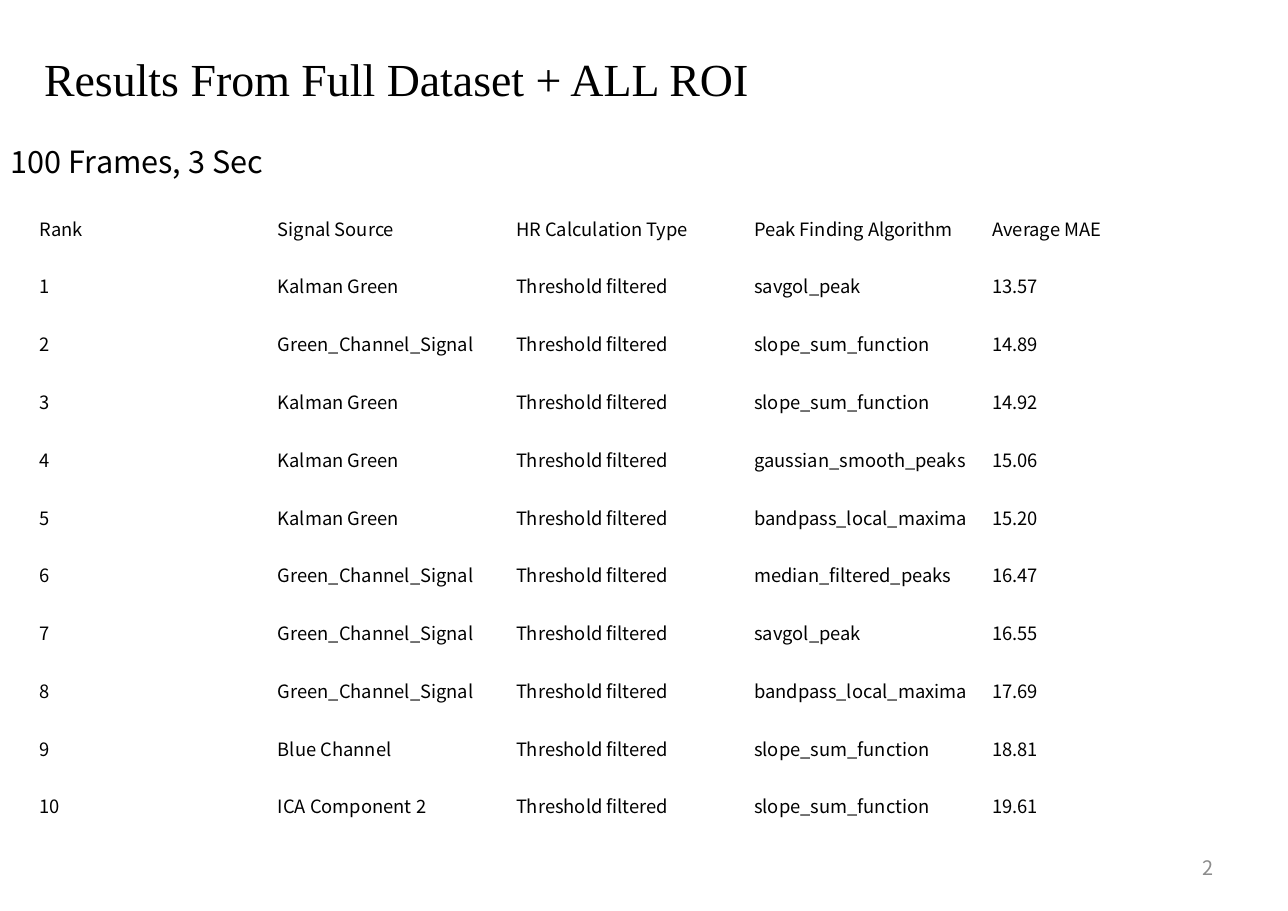
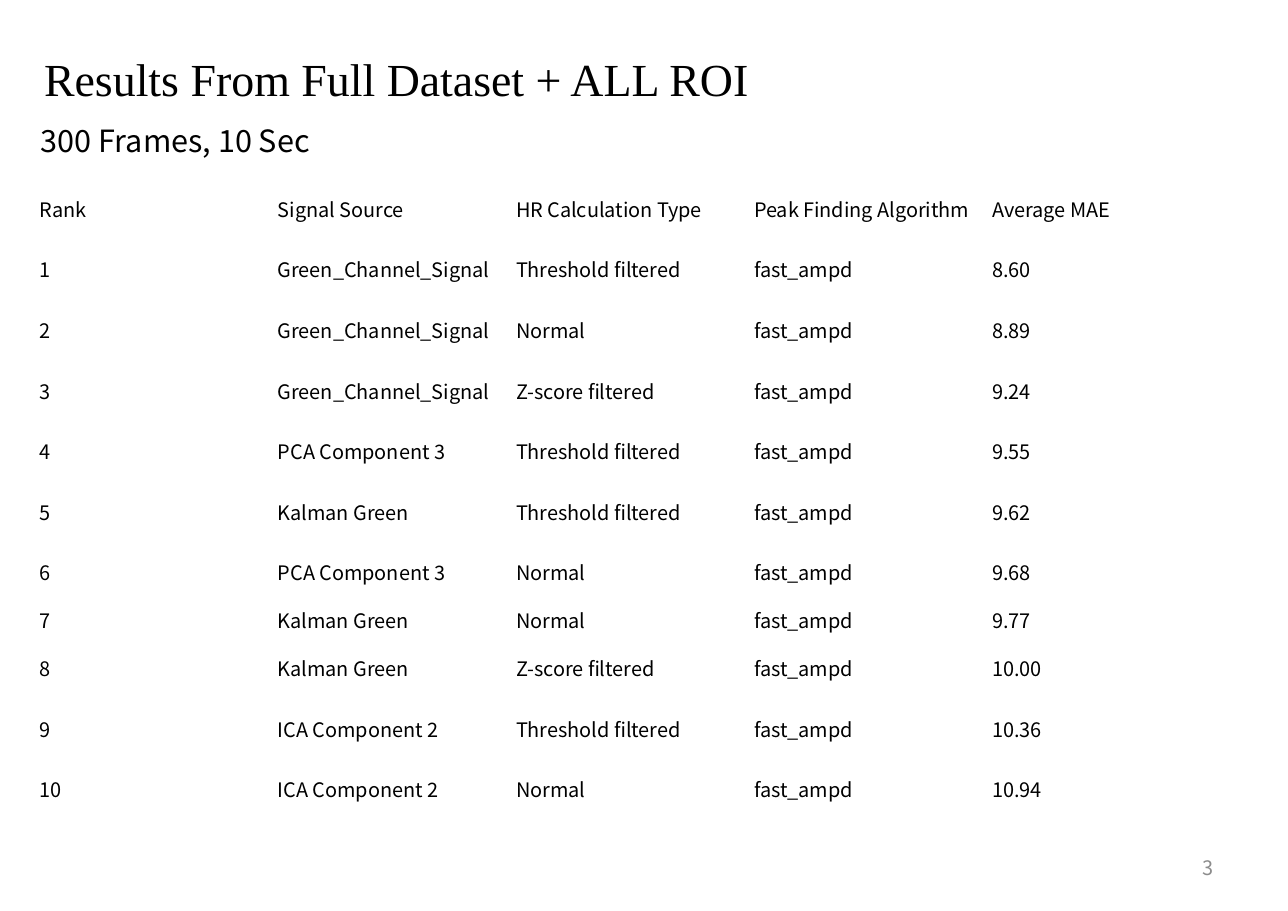
from dataclasses import dataclass

from pptx import Presentation
from pptx.dml.color import RGBColor
from pptx.enum.text import MSO_ANCHOR, MSO_AUTO_SIZE, PP_ALIGN
from pptx.util import Inches, Pt

SLIDE_WIDTH, SLIDE_HEIGHT = 11.69, 8.27
MARGIN = 0.3
TABLE_WIDTH = 10.81
TITLE_FONT, BODY_FONT = "Times New Roman", "Noto Sans CJK KR"
BLACK, GRAY = "000000", "8C8C8C"
TITLE = "Results From Full Dataset + ALL ROI"
HEADER = ("Rank", "Signal Source", "HR Calculation Type", "Peak Finding Algorithm", "Average MAE")
CELL_FORMAT = {
    "margin_left": Inches(0.06),
    "margin_right": Inches(0.06),
    "margin_top": Inches(0.03),
    "margin_bottom": Inches(0.03),
    "vertical_anchor": MSO_ANCHOR.MIDDLE,
}

GREEN, KALMAN, BLUE = "Green_Channel_Signal", "Kalman Green", "Blue Channel"
ICA, PCA = "ICA Component 2", "PCA Component 3"
THRESHOLD, NORMAL, Z_SCORE = "Threshold filtered", "Normal", "Z-score filtered"
SLOPE, SAVGOL, BANDPASS = "slope_sum_function", "savgol_peak", "bandpass_local_maxima"
AMPD = "fast_ampd"


@dataclass(frozen=True)
class Box:
    left: float
    top: float
    width: float
    height: float


@dataclass(frozen=True)
class TextStyle:
    size: float
    font: str = BODY_FONT
    color: str = BLACK
    align: PP_ALIGN = PP_ALIGN.LEFT
    anchor: MSO_ANCHOR = MSO_ANCHOR.TOP
    line_spacing: float = 1.0


@dataclass(frozen=True)
class Result:
    source: str
    calculation: str
    algorithm: str
    error: str


@dataclass(frozen=True)
class ResultSlide:
    number: int
    subtitle: str
    subtitle_left: float
    subtitle_top: float
    table_top: float
    row_height: float
    text_size: float
    results: tuple[Result, ...]
    short_rows: tuple[int, ...] = ()


TITLE_BOX = Box(MARGIN, 0.16, 9.11, 0.78)
NUMBER_BOX = Box(8.38, 7.66, 2.73, 0.44)
SHORT_ROW_HEIGHT = 0.31
TITLE_STYLE = TextStyle(30, font=TITLE_FONT, line_spacing=1.5)
SUBTITLE_STYLE = TextStyle(20)
NUMBER_STYLE = TextStyle(13, color=GRAY, align=PP_ALIGN.RIGHT, anchor=MSO_ANCHOR.MIDDLE)

RESULT_SLIDES = (
    ResultSlide(2, "100 Frames, 3 Sec", 0, 1.25, 1.81, 5.77 / 11, 12, (
        Result(KALMAN, THRESHOLD, SAVGOL, "13.57"),
        Result(GREEN, THRESHOLD, SLOPE, "14.89"),
        Result(KALMAN, THRESHOLD, SLOPE, "14.92"),
        Result(KALMAN, THRESHOLD, "gaussian_smooth_peaks", "15.06"),
        Result(KALMAN, THRESHOLD, BANDPASS, "15.20"),
        Result(GREEN, THRESHOLD, "median_filtered_peaks", "16.47"),
        Result(GREEN, THRESHOLD, SAVGOL, "16.55"),
        Result(GREEN, THRESHOLD, BANDPASS, "17.69"),
        Result(BLUE, THRESHOLD, SLOPE, "18.81"),
        Result(ICA, THRESHOLD, SLOPE, "19.61"),
    )),
    ResultSlide(3, "300 Frames, 10 Sec", 0.27, 1.06, 1.62, 0.55, 13, (
        Result(GREEN, THRESHOLD, AMPD, "8.60"),
        Result(GREEN, NORMAL, AMPD, "8.89"),
        Result(GREEN, Z_SCORE, AMPD, "9.24"),
        Result(PCA, THRESHOLD, AMPD, "9.55"),
        Result(KALMAN, THRESHOLD, AMPD, "9.62"),
        Result(PCA, NORMAL, AMPD, "9.68"),
        Result(KALMAN, NORMAL, AMPD, "9.77"),
        Result(KALMAN, Z_SCORE, AMPD, "10.00"),
        Result(ICA, THRESHOLD, AMPD, "10.36"),
        Result(ICA, NORMAL, AMPD, "10.94"),
    ), short_rows=(7,)),
)


def set_attributes(target, values: dict) -> None:
    for name, value in values.items():
        setattr(target, name, value)


def hex_color(value: str) -> RGBColor:
    return RGBColor.from_string(value)


def inches(box: Box) -> tuple:
    return tuple(Inches(length) for length in (box.left, box.top, box.width, box.height))


def write_text(text_frame, text: str, style: TextStyle) -> None:
    paragraph = text_frame.paragraphs[0]
    set_attributes(paragraph, {"alignment": style.align, "line_spacing": style.line_spacing})
    run = paragraph.add_run()
    run.text = text
    set_attributes(run.font, {"name": style.font, "size": Pt(style.size)})
    run.font.color.rgb = hex_color(style.color)


def fill_text_shape(shape, text: str, style: TextStyle) -> None:
    set_attributes(shape.text_frame, {
        "word_wrap": True,
        "auto_size": MSO_AUTO_SIZE.NONE,
        "vertical_anchor": style.anchor,
    })
    write_text(shape.text_frame, text, style)


def add_title(slide) -> None:
    title = slide.shapes.title
    set_attributes(title, dict(zip(("left", "top", "width", "height"), inches(TITLE_BOX))))
    fill_text_shape(title, TITLE, TITLE_STYLE)


def add_text(slide, box: Box, text: str, style: TextStyle) -> None:
    fill_text_shape(slide.shapes.add_textbox(*inches(box)), text, style)


def add_result_table(slide, content: ResultSlide) -> None:
    rows = [HEADER] + [
        (str(rank), result.source, result.calculation, result.algorithm, result.error)
        for rank, result in enumerate(content.results, start=1)
    ]
    heights = [
        SHORT_ROW_HEIGHT if index in content.short_rows else content.row_height
        for index in range(len(rows))
    ]
    box = Box(MARGIN, content.table_top, TABLE_WIDTH, sum(heights))
    table = slide.shapes.add_table(len(rows), len(HEADER), *inches(box)).table
    set_attributes(table, {"first_row": False, "horz_banding": False})
    for column in table.columns:
        column.width = Inches(TABLE_WIDTH / len(HEADER))
    style = TextStyle(content.text_size)
    for row, height, values in zip(table.rows, heights, rows):
        row.height = Inches(height)
        for cell, value in zip(row.cells, values):
            set_attributes(cell, CELL_FORMAT)
            cell.fill.background()
            write_text(cell.text_frame, value, style)


def add_result_slide(presentation, content: ResultSlide) -> None:
    slide = presentation.slides.add_slide(presentation.slide_layouts.get_by_name("Title Only"))
    add_title(slide)
    add_text(slide, NUMBER_BOX, str(content.number), NUMBER_STYLE)
    subtitle_box = Box(content.subtitle_left, content.subtitle_top, 3.68, 0.44)
    add_text(slide, subtitle_box, content.subtitle, SUBTITLE_STYLE)
    add_result_table(slide, content)


def main() -> None:
    presentation = Presentation()
    set_attributes(presentation, {
        "slide_width": Inches(SLIDE_WIDTH),
        "slide_height": Inches(SLIDE_HEIGHT),
    })
    for content in RESULT_SLIDES:
        add_result_slide(presentation, content)
    presentation.save("out.pptx")


if __name__ == "__main__":
    main()
